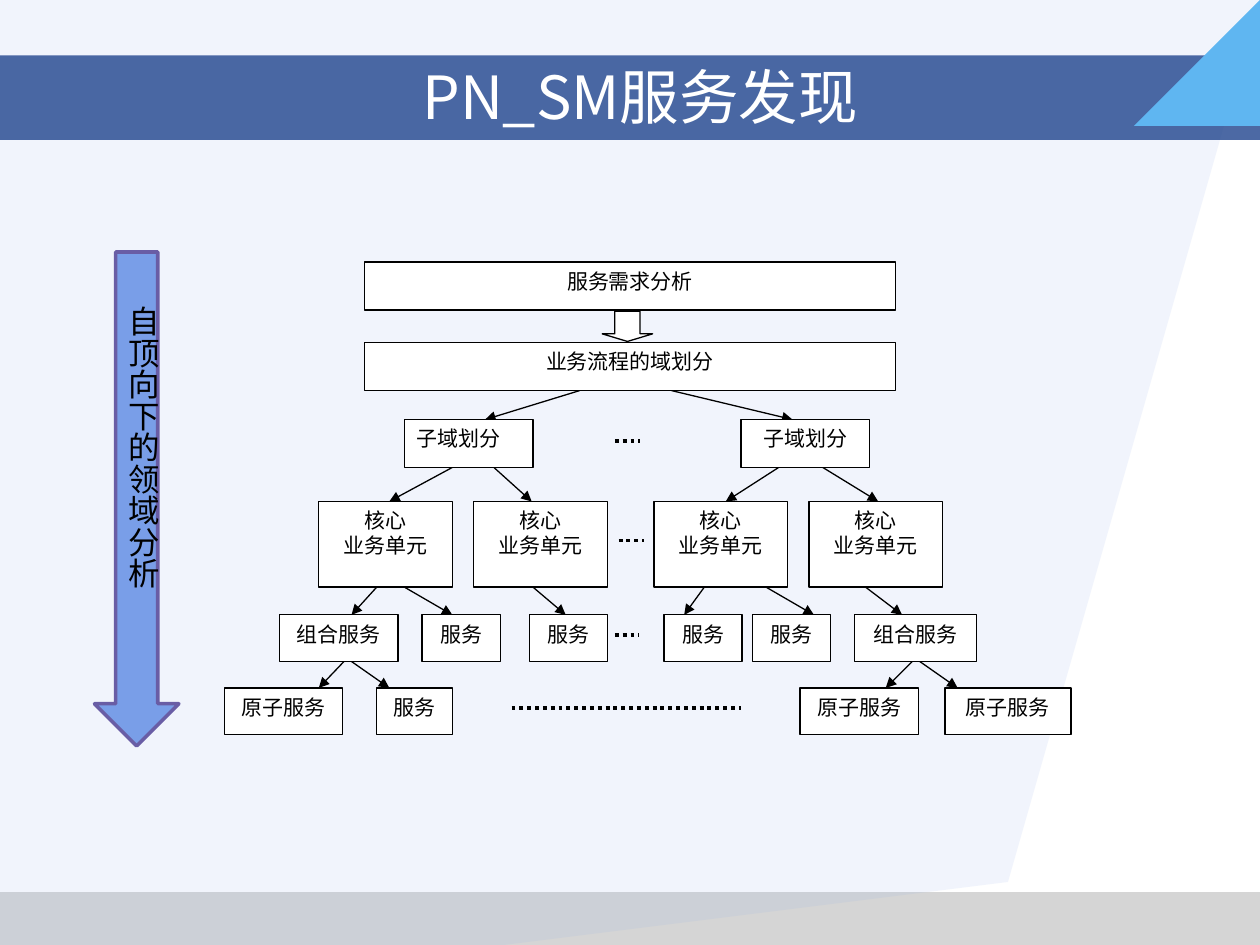
from lxml import etree
from pptx import Presentation
from pptx.dml.color import RGBColor
from pptx.enum.dml import MSO_LINE
from pptx.enum.shapes import MSO_CONNECTOR, MSO_SHAPE
from pptx.enum.text import MSO_ANCHOR, PP_ALIGN
from pptx.oxml.ns import qn
from pptx.util import Inches, Pt

RECTANGLE = MSO_SHAPE.RECTANGLE
DOWN_ARROW = MSO_SHAPE.DOWN_ARROW
STRAIGHT = MSO_CONNECTOR.STRAIGHT
DOTTED = MSO_LINE.ROUND_DOT
CENTER, JUSTIFY = PP_ALIGN.CENTER, PP_ALIGN.JUSTIFY
TOP, MIDDLE = MSO_ANCHOR.TOP, MSO_ANCHOR.MIDDLE
CJK_FONT = "Noto Sans CJK SC"

COLORS = {
    "black": "000000",
    "white": "FFFFFF",
    "footer": "969696",
    "panel": "94B1EC",
    "band": "173D89",
    "accent": "5FB6F1",
    "arrow": "4B7DE1",
    "arrow_edge": "695DA5",
}

# Content
TITLE = "PN_SM服务发现"
SIDE_LABEL = "自顶向下的领域分析"
CORE = "核心\n业务单元"

# Levels of the tree: top, height, boxes as (left, width, text)
LEVELS = [
    (2.08, 0.38, [(2.89, 4.22, "服务需求分析")]),
    (2.72, 0.38, [(2.89, 4.22, "业务流程的域划分")]),
    (3.33, 0.38, [(3.21, 1.02, "子域划分"), (5.88, 1.02, "子域划分")]),
    (3.98, 0.68, [(left, 1.06, CORE) for left in (2.53, 3.76, 5.19, 6.42)]),
    (4.88, 0.37, [(2.22, 0.94, "组合服务"), (3.35, 0.62, "服务"),
                  (4.2, 0.62, "服务"), (5.27, 0.62, "服务"),
                  (5.97, 0.62, "服务"), (6.78, 0.97, "组合服务")]),
    (5.46, 0.37, [(1.78, 0.94, "原子服务"), (2.99, 0.6, "服务"),
                  (6.35, 0.94, "原子服务"), (7.5, 1, "原子服务")]),
]
LEFT_SUBDOMAIN = (2, 0)  # this box has justified text

# Arrows from each level to the next, as (start x, end x)
BRANCHES = {
    1: [(4.6, 3.85), (5.33, 6.29)],
    2: [(3.59, 3.09), (3.92, 4.22), (6.18, 5.76), (6.53, 6.97)],
    3: [(2.99, 2.79), (3.21, 3.59), (4.23, 4.49),
        (5.59, 5.43), (6.08, 6.46), (6.87, 7.16)],
    4: [(2.73, 2.53), (2.79, 3.09), (7.24, 7.03), (7.3, 7.6)],
}

# Dotted lines: left, right, y
ELLIPSES = [(4.88, 5.08, 3.5), (4.91, 5.11, 4.29),
            (4.88, 5.07, 5.04), (4.06, 5.88, 5.62)]


def rgb(name):
    return RGBColor.from_string(COLORS[name])


def paint(shape, fill, opacity=100, line=None, width=0.75):
    shape.shadow.inherit = False
    shape.fill.solid()
    shape.fill.fore_color.rgb = rgb(fill)
    if opacity < 100:
        color = shape.fill._xPr.find(qn("a:solidFill"))[0]
        etree.SubElement(color, qn("a:alpha")).set("val", str(opacity * 1000))
    if line:
        shape.line.color.rgb = rgb(line)
        shape.line.width = Pt(width)
    else:
        shape.line.fill.background()


def add_block(slide, kind, box, fill, **style):
    shape = slide.shapes.add_shape(kind, *map(Inches, box))
    paint(shape, fill, **style)
    return shape


def add_outline(slide, points, fill, **style):
    builder = slide.shapes.build_freeform(*points[0], scale=Inches(1))
    builder.add_line_segments(points[1:], close=True)
    paint(builder.convert_to_shape(), fill, **style)


def write(shape, text, size, color="black", font=CJK_FONT,
          align=CENTER, anchor=TOP, insets=(0.1, 0.05)):
    frame = shape.text_frame
    frame.word_wrap = True
    frame.vertical_anchor = anchor
    frame.margin_left = frame.margin_right = Inches(insets[0])
    frame.margin_top = frame.margin_bottom = Inches(insets[1])
    frame.text = text
    for paragraph in frame.paragraphs:
        paragraph.alignment = align
        for run in paragraph.runs:
            run.font.size = Pt(size)
            run.font.name = font
            run.font.color.rgb = rgb(color)
            east_asian = etree.SubElement(run._r.rPr, qn("a:ea"))
            east_asian.set("typeface", CJK_FONT)
    return frame


def add_line(slide, start, end, width=0.75):
    line = slide.shapes.add_connector(STRAIGHT, *map(Inches, start + end))
    line.line.color.rgb = rgb("black")
    line.line.width = Pt(width)
    etree.SubElement(line._element.spPr, qn("a:effectLst"))
    return line


presentation = Presentation()
presentation.slide_width = Inches(10)
presentation.slide_height = Inches(7.5)
slide = presentation.slides.add_slide(presentation.slide_layouts[6])

# Background
add_block(slide, RECTANGLE, (0, 7.08, 10, 0.42), "footer", opacity=40)
add_outline(slide, [(0, 0), (9.76, 0), (7.74, 7.49), (0, 7.5)],
            "panel", opacity=13)
add_block(slide, RECTANGLE, (0, 0.44, 10, 0.67), "band", opacity=77)
add_outline(slide, [(9.65, 0.44), (9.48, 1.11), (10, 1.11), (10, 0.44)],
            "accent")

# Title
title = slide.shapes.add_textbox(*map(Inches, (0.58, 0.45, 9, 0.62)))
write(title, TITLE, 34, color="white", anchor=MIDDLE)

# Arrows between levels
for level, branches in BRANCHES.items():
    top, height, _ = LEVELS[level]
    next_top = LEVELS[level + 1][0]
    for start_x, end_x in branches:
        arrow = add_line(slide, (start_x, top + height), (end_x, next_top))
        etree.SubElement(arrow.line._get_or_add_ln(),
                         qn("a:tailEnd")).set("type", "triangle")

# Boxes
for level, (top, height, boxes) in enumerate(LEVELS):
    for index, (left, width, text) in enumerate(boxes):
        box = add_block(slide, RECTANGLE, (left, top, width, height),
                        "white", line="black")
        align = JUSTIFY if (level, index) == LEFT_SUBDOMAIN else CENTER
        write(box, text, 12, align=align)

# Block arrow between the first two boxes
block_arrow = add_block(slide, DOWN_ARROW, (4.78, 2.47, 0.4, 0.24),
                        "white", line="black")
block_arrow.adjustments[0] = 0.5
block_arrow.adjustments[1] = 0.25

# Dotted lines
for left, right, y in ELLIPSES:
    add_line(slide, (left, y), (right, y), 2.25).line.dash_style = DOTTED

# Top-down arrow with vertical label
add_block(slide, DOWN_ARROW, (0.75, 2, 0.67, 3.92), "arrow",
          opacity=72, line="arrow_edge", width=2)
label = slide.shapes.add_textbox(*map(Inches, (0.84, 2.33, 0.5, 3.08)))
frame = write(label, SIDE_LABEL, 18, font="Arial", insets=(0.05, 0.1))
frame._txBody.bodyPr.set("vert", "eaVert")

presentation.save("out.pptx")
